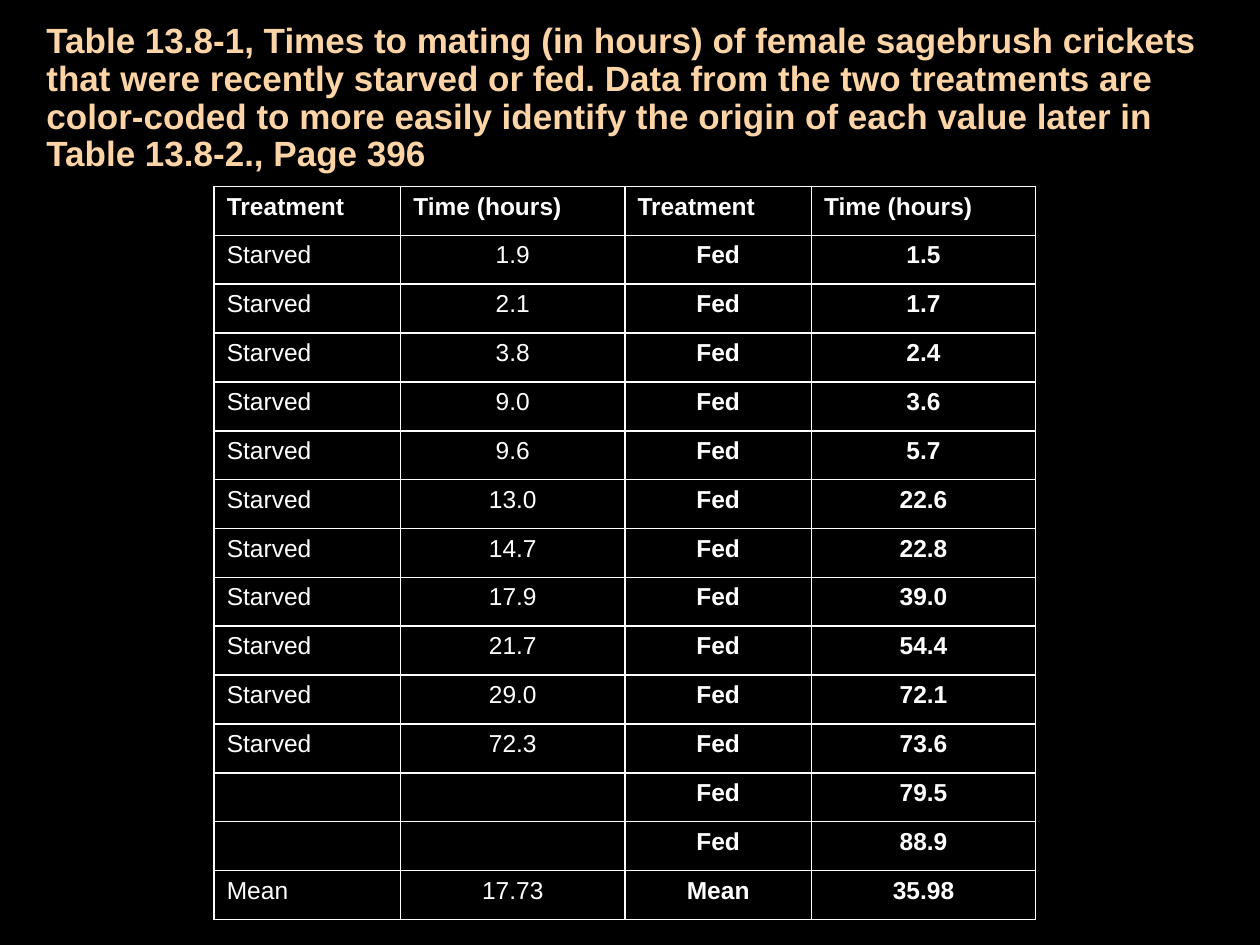
import pptx
import pptx.util
import pptx.dml.color
import pptx.enum.text
import pptx.oxml
import lxml.etree

TITLE = (
    "Table 13.8-1, Times to mating (in hours) of female sagebrush crickets "
    "that were recently starved or fed. Data from the two treatments are "
    "color-coded to more easily identify the origin of each value later in "
    "Table 13.8-2., Page 396"
)
HEADER = ["Treatment", "Time (hours)"]
STARVED = ["1.9", "2.1", "3.8", "9.0", "9.6", "13.0", "14.7", "17.9", "21.7", "29.0", "72.3"]
FED = ["1.5", "1.7", "2.4", "3.6", "5.7", "22.6", "22.8", "39.0", "54.4", "72.1", "73.6", "79.5", "88.9"]
MEANS = ["Mean", "17.73", "Mean", "35.98"]

THEME = {
    "background": "000000",
    "title": {"name": "Arial", "size": 20, "color": "FCD4A5", "bold": True},
    "cell": {"name": "Arial", "size": 14, "color": "FFFFFF"},
    "border": "FFFFFF",
    "border_width": 1,
}
SLIDE_WIDTH, SLIDE_HEIGHT = 10, 7.5
TITLE_BOX = (0.27, 0.45, 9.73, 0.67)
TABLE_LEFT, TABLE_TOP, TABLE_HEIGHT = 1.7, 1.48, 5.82
COLUMN_WIDTHS = [1.48, 1.78] * 2


def color(value):
    return pptx.dml.color.RGBColor.from_string(value)


def write(paragraph, text, formats):
    run = paragraph.add_run()
    run.text = text
    for name, value in formats.items():
        if name == "color":
            run.font.color.rgb = color(value)
        else:
            setattr(run.font, name, pptx.util.Pt(value) if name == "size" else value)


def add_borders(cell):
    properties = cell._tc.get_or_add_tcPr()
    for position, side in enumerate(("lnL", "lnR", "lnT", "lnB")):
        line = pptx.oxml.parse_xml(
            f'<a:{side} xmlns:a="http://schemas.openxmlformats.org/drawingml/2006/main" '
            f'w="{pptx.util.Pt(THEME["border_width"])}"><a:solidFill>'
            f'<a:srgbClr val="{THEME["border"]}"/></a:solidFill></a:{side}>'
        )
        properties.insert(position, line)


def table_rows():
    rows = [HEADER * 2]
    for index, fed_time in enumerate(FED):
        starved = ["Starved", STARVED[index]] if index < len(STARVED) else ["", ""]
        rows.append(starved + ["Fed", fed_time])
    return rows + [MEANS]


def add_title(slide):
    title = slide.shapes.add_textbox(*map(pptx.util.Inches, TITLE_BOX))
    frame = title.text_frame
    frame.word_wrap = True
    frame.vertical_anchor = pptx.enum.text.MSO_ANCHOR.MIDDLE
    paragraph = frame.paragraphs[0]
    paragraph.line_spacing = 0.9
    write(paragraph, TITLE, THEME["title"])


def add_times_table(slide):
    rows = table_rows()
    bounds = (TABLE_LEFT, TABLE_TOP, sum(COLUMN_WIDTHS), TABLE_HEIGHT)
    table = slide.shapes.add_table(
        len(rows), len(COLUMN_WIDTHS), *map(pptx.util.Inches, bounds)
    ).table
    table.first_row = table.horz_banding = False
    for column, width in zip(table.columns, COLUMN_WIDTHS):
        column.width = pptx.util.Inches(width)
    for row_index, row in enumerate(rows):
        for column_index, text in enumerate(row):
            cell = table.cell(row_index, column_index)
            cell.fill.solid()
            cell.fill.fore_color.rgb = color(THEME["background"])
            add_borders(cell)
            paragraph = cell.text_frame.paragraphs[0]
            if row_index > 0 and column_index > 0:
                paragraph.alignment = pptx.enum.text.PP_ALIGN.CENTER
            bold = row_index == 0 or column_index >= 2
            write(paragraph, text, {**THEME["cell"], "bold": bold})


def main():
    presentation = pptx.Presentation()
    presentation.slide_width = pptx.util.Inches(SLIDE_WIDTH)
    presentation.slide_height = pptx.util.Inches(SLIDE_HEIGHT)
    slide = presentation.slides.add_slide(presentation.slide_layouts[6])
    slide.background.fill.solid()
    slide.background.fill.fore_color.rgb = color(THEME["background"])
    add_times_table(slide)
    add_title(slide)
    presentation.save("out.pptx")


if __name__ == "__main__":
    main()
